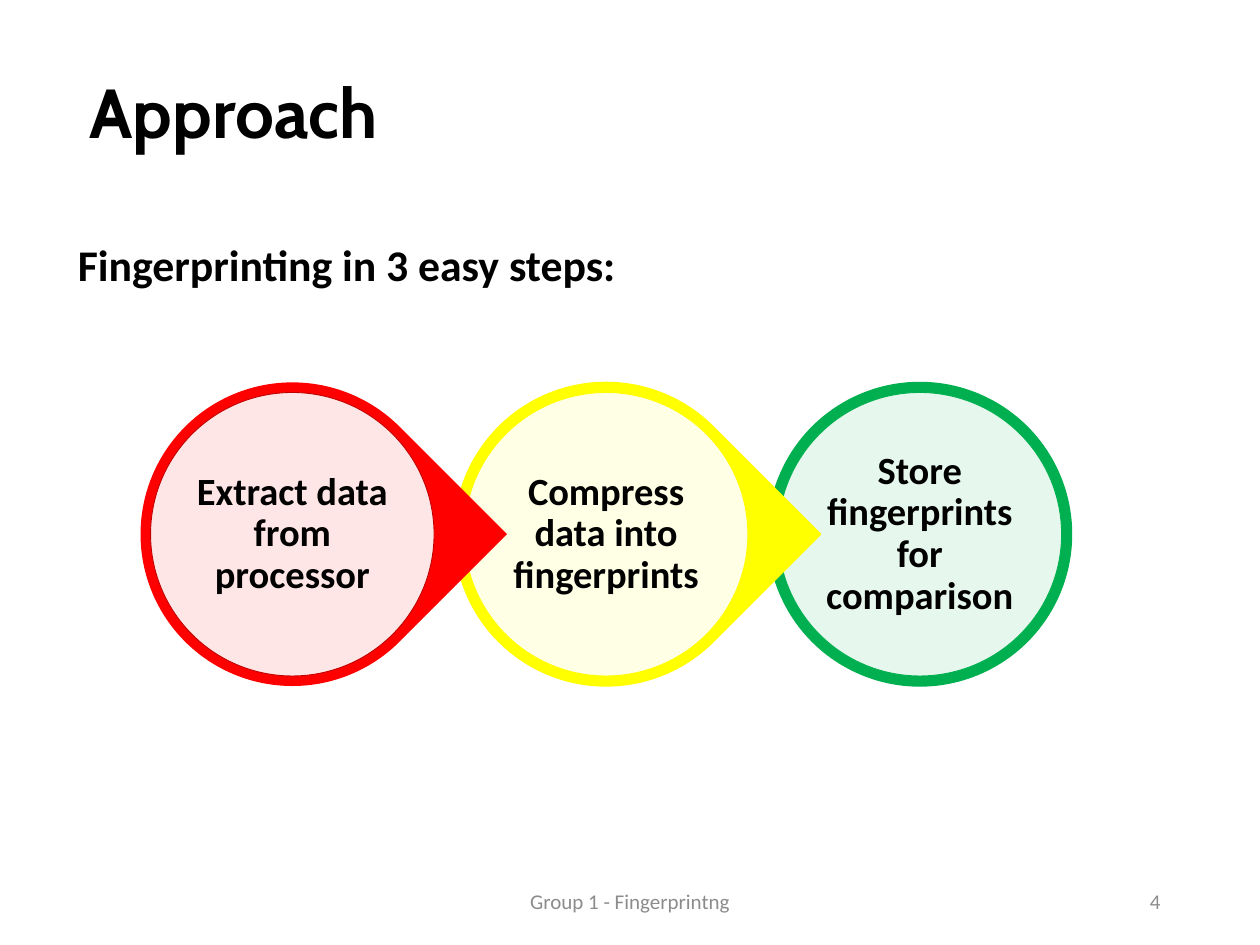
from dataclasses import dataclass

from lxml.etree import SubElement
from pptx import Presentation
from pptx.dml.color import RGBColor
from pptx.enum.shapes import MSO_SHAPE as Preset
from pptx.enum.text import MSO_ANCHOR as Anchor, MSO_AUTO_SIZE as AutoSize, PP_ALIGN as Align
from pptx.oxml.ns import qn
from pptx.util import Inches, Pt

BLACK = RGBColor(0x00, 0x00, 0x00)
WHITE = RGBColor(0xFF, 0xFF, 0xFF)
GRAY = RGBColor(0x8C, 0x8C, 0x8C)
RED = RGBColor(0xFF, 0x00, 0x00)
DARK_RED = RGBColor(0xC0, 0x00, 0x00)
YELLOW = RGBColor(0xFF, 0xFF, 0x00)
GREEN = RGBColor(0x00, 0xB0, 0x50)

FIRST_CENTER, STEP_PITCH, CENTER_Y = 2.32, 2.49, 4.24
OUTER_SIZE, INNER_SIZE, LABEL_SIZE = 2.41, 2.25, 1.61


@dataclass
class Step:
    """One stage of the process; a pointed stage leads to the next."""
    label: str
    color: RGBColor
    rim: RGBColor
    outline: RGBColor | None = None
    pointed: bool = True


STEPS = [
    Step("Extract data from processor", RED, DARK_RED),
    Step("Compress data into fingerprints", YELLOW, YELLOW, YELLOW),
    Step("Store fingerprints for comparison", GREEN, GREEN, GREEN, pointed=False),
]


def place(shape, left: float, top: float, width: float, height: float) -> None:
    """Set position and size in inches."""
    shape.left, shape.top = Inches(left), Inches(top)
    shape.width, shape.height = Inches(width), Inches(height)


def write_text(shape, text: str, *, size: float, font: str = "Calibri",
               color: RGBColor = BLACK, bold: bool = False, align=Align.LEFT,
               anchor=Anchor.MIDDLE, spacing: float = 1.0,
               inset: float | None = None) -> None:
    """Write one formatted paragraph into a shape."""
    frame = shape.text_frame
    frame.word_wrap = True
    frame.auto_size = AutoSize.NONE
    frame.vertical_anchor = anchor
    if inset is not None:
        frame.margin_left = frame.margin_right = Inches(inset)
        frame.margin_top = frame.margin_bottom = Inches(inset)
    paragraph = frame.paragraphs[0]
    paragraph.alignment = align
    paragraph.line_spacing = spacing
    run = paragraph.add_run()
    run.text = text
    run.font.name = font
    run.font.size = Pt(size)
    run.font.bold = bold
    run.font.color.rgb = color


def add_text(shapes, text: str, left: float, top: float, width: float,
             height: float, **text_format) -> None:
    """Add a text box with one formatted paragraph."""
    box = shapes.add_textbox(Inches(left), Inches(top), Inches(width), Inches(height))
    write_text(box, text, **text_format)


def add_disc(shapes, preset, center_x: float, size: float, fill: RGBColor,
             outline: RGBColor | None, line_width: float):
    """Add a round shape centred on the row of steps."""
    disc = shapes.add_shape(preset, Inches(center_x - size / 2),
                            Inches(CENTER_Y - size / 2), Inches(size), Inches(size))
    disc.shadow.inherit = False
    disc.fill.solid()
    disc.fill.fore_color.rgb = fill
    if outline is None:
        disc.line.fill.background()
    else:
        disc.line.color.rgb = outline
        disc.line.width = Pt(line_width)
    return disc


def set_opacity(shape, percent: int) -> None:
    """Make a solid fill partly transparent."""
    fill_color = shape.fill._xPr.find(qn("a:solidFill"))[0]
    SubElement(fill_color, qn("a:alpha")).set("val", str(percent * 1000))


def add_step(shapes, step: Step, center_x: float) -> None:
    """Draw a step: coloured outer shape, pale disc and label."""
    preset = Preset.TEAR if step.pointed else Preset.OVAL
    outer = add_disc(shapes, preset, center_x, OUTER_SIZE, step.color, step.outline, 0.75)
    if step.pointed:
        outer.rotation = 45
    inner = add_disc(shapes, Preset.OVAL, center_x, INNER_SIZE, WHITE, step.rim, 0.5)
    set_opacity(inner, 90)
    add_text(shapes, step.label, center_x - LABEL_SIZE / 2, CENTER_Y - LABEL_SIZE / 2,
             LABEL_SIZE, LABEL_SIZE, size=22, bold=True, align=Align.CENTER,
             spacing=0.9, inset=0.03)


def main() -> None:
    """Build and save the slide."""
    presentation = Presentation()
    presentation.slide_width, presentation.slide_height = Inches(10), Inches(7.5)
    slide = presentation.slides.add_slide(presentation.slide_layouts[5])

    title = slide.shapes.title
    place(title, 0.61, 0.62, 8.78, 0.61)
    write_text(title, "Approach", size=39.6, font="Cabin", bold=True, spacing=0.9)
    add_text(slide.shapes, "Fingerprinting in 3 easy steps:", 0.52, 1.63, 8.83, 1.54,
             size=25, bold=True, anchor=Anchor.TOP, spacing=1.5)

    diagram = slide.shapes.add_group_shape()
    for index, step in reversed(list(enumerate(STEPS))):
        add_step(diagram.shapes, step, FIRST_CENTER + index * STEP_PITCH)

    add_text(slide.shapes, "Group 1 - Fingerprintng", 3.31, 6.95, 3.38, 0.4,
             size=12, color=GRAY, align=Align.CENTER)
    add_text(slide.shapes, "4", 7.06, 6.95, 2.25, 0.4,
             size=12, color=GRAY, align=Align.RIGHT)
    presentation.save("out.pptx")


main()
